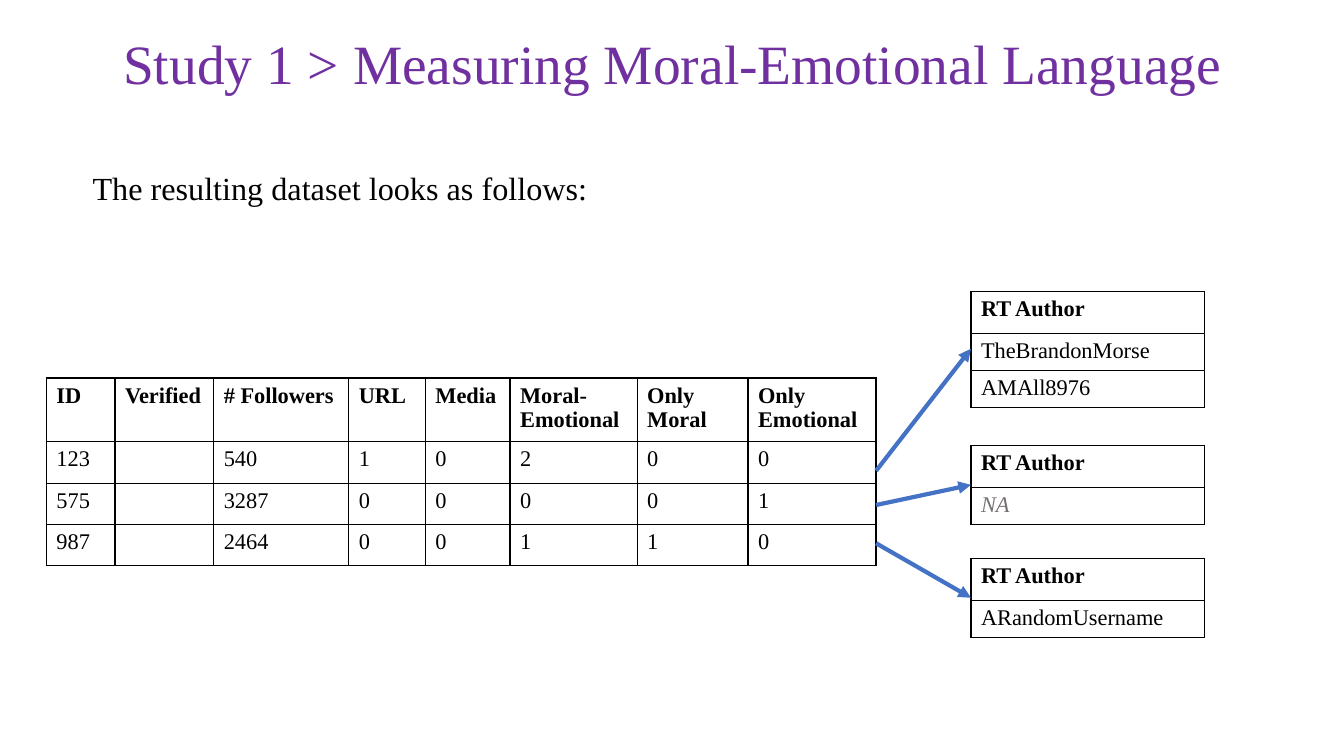
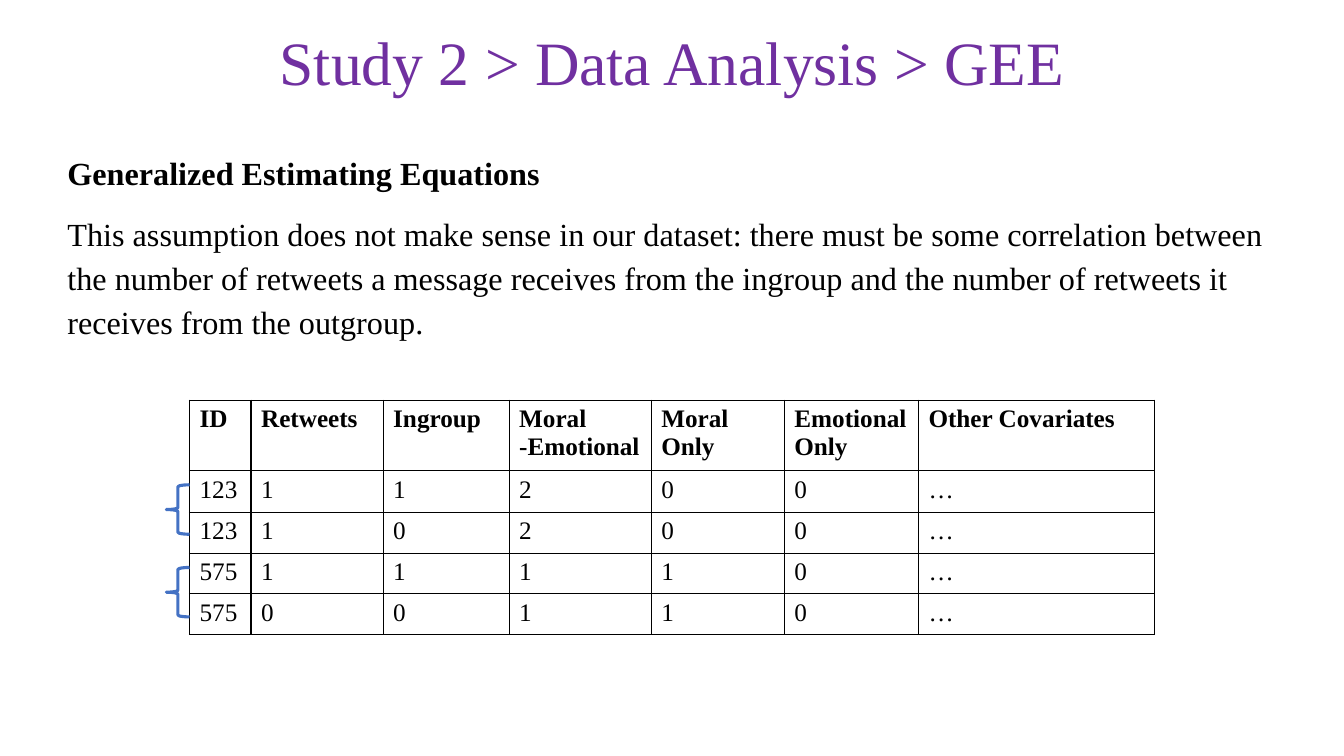
import lxml.etree
import pptx
import pptx.dml.color
import pptx.enum.shapes
import pptx.enum.text
import pptx.oxml
import pptx.oxml.ns
import pptx.util

Inches = pptx.util.Inches
Pt = pptx.util.Pt

FONT = "Times New Roman"
PURPLE = "7030A0"
BLACK = "000000"
GREY = "767171"
BLUE = "4472C4"


def rgb(color):
    return pptx.dml.color.RGBColor.from_string(color)


def add_run(paragraph, text, size, color=BLACK, bold=False, italic=False):
    run = paragraph.add_run()
    run.text = text
    run.font.name = FONT
    run.font.size = Pt(size)
    run.font.color.rgb = rgb(color)
    run.font.bold = bold
    run.font.italic = italic


presentation = pptx.Presentation()
presentation.slide_width = Inches(13.33)
presentation.slide_height = Inches(7.5)

# Titles and body text: title, title size, body box, (text, bold) paragraphs
slide_texts = [
    ("Study 1 > Measuring Moral-Emotional Language", 39.6, (0.82, 1.57, 11.5, 1.09),
     [("The resulting dataset looks as follows:", False)]),
    ("Study 2 > Data Analysis > GEE", 44, (0.57, 1.42, 12.19, 2.2),
     [("Generalized Estimating Equations", True),
      ("This assumption does not make sense in our dataset: there must be some "
       "correlation between the number of retweets a message receives from the "
       "ingroup and the number of retweets it receives from the outgroup.", False)]),
]
slides = []
for title_text, title_size, body_box, body_paragraphs in slide_texts:
    slide = presentation.slides.add_slide(presentation.slide_layouts[5])
    slides.append(slide)

    title = slide.shapes.title
    title.left, title.top = Inches(0.92), Inches(0.02)
    title.width, title.height = Inches(11.5), Inches(1.27)
    title.text_frame.auto_size = pptx.enum.text.MSO_AUTO_SIZE.NONE
    title.text_frame.vertical_anchor = pptx.enum.text.MSO_ANCHOR.MIDDLE
    paragraph = title.text_frame.paragraphs[0]
    paragraph.alignment = pptx.enum.text.PP_ALIGN.CENTER
    paragraph.line_spacing = 0.9
    add_run(paragraph, title_text, title_size, PURPLE)

    body = slide.shapes.add_textbox(*[Inches(length) for length in body_box]).text_frame
    body.word_wrap = True
    for index, (text, bold) in enumerate(body_paragraphs):
        paragraph = body.add_paragraph() if index else body.paragraphs[0]
        paragraph.line_spacing = 1.14
        paragraph.space_after = Pt(12)
        add_run(paragraph, text, 23, bold=bold)

dataset_slide, gee_slide = slides

# Tables: slide, left, top, text size, column widths, row heights, rows
dataset_left, dataset_top = 0.46, 3.75
dataset_widths = [0.68, 0.98, 1.34, 0.76, 0.84, 1.26, 1.1, 1.27]
author_left, author_width = 9.63, 2.32
author_header, author_row = 0.42, 0.36
author_lists = [
    (2.89, ["TheBrandonMorse", "AMAll8976"]),
    (4.42, ["NA"]),
    (5.54, ["ARandomUsername"]),
]
gee_left, gee_top = 1.88, 3.97

tables = [
    (dataset_slide, dataset_left, dataset_top, 16, dataset_widths, [0.59] + [0.41] * 3, [
        ["ID", "Verified", "# Followers", "URL", "Media",
         "Moral-Emotional", "Only Moral", "Only Emotional"],
        ["123", "", "540", "1", "0", "2", "0", "0"],
        ["575", "", "3287", "0", "0", "0", "0", "1"],
        ["987", "", "2464", "0", "0", "1", "1", "0"],
    ]),
    (gee_slide, gee_left, gee_top, 18, [0.61, 1.31, 1.25, 1.41, 1.32, 1.33, 2.34],
     [0.66, 0.41, 0.41, 0.38, 0.38], [
        ["ID", "Retweets", "Ingroup", "Moral -Emotional",
         "Moral Only", "Emotional Only", "Other Covariates"],
        ["123", "1", "1", "2", "0", "0", "…"],
        ["123", "1", "0", "2", "0", "0", "…"],
        ["575", "1", "1", "1", "1", "0", "…"],
        ["575", "0", "0", "1", "1", "0", "…"],
    ]),
]
for top, authors in author_lists:
    tables.append((dataset_slide, author_left, top, 16, [author_width],
                   [author_header] + [author_row] * len(authors),
                   [["RT Author"]] + [[author] for author in authors]))

border_xml = (
    '<a:{side} ' + pptx.oxml.ns.nsdecls("a") + ' w="12700"><a:solidFill>'
    '<a:srgbClr val="' + BLACK + '"/></a:solidFill></a:{side}>'
)
for slide, left, top, size, widths, heights, rows in tables:
    table = slide.shapes.add_table(
        len(rows), len(widths), Inches(left), Inches(top),
        Inches(sum(widths)), Inches(sum(heights))).table
    table.first_row = False
    table.horz_banding = False
    for column, width in zip(table.columns, widths):
        column.width = Inches(width)
    for row_index, (row, height, values) in enumerate(zip(table.rows, heights, rows)):
        row.height = Inches(height)
        for cell, value in zip(row.cells, values):
            properties = cell._tc.get_or_add_tcPr()
            for side in ("lnL", "lnR", "lnT", "lnB"):
                properties.append(pptx.oxml.parse_xml(border_xml.format(side=side)))
            cell.fill.background()
            missing = value == "NA"
            if value:
                add_run(cell.text_frame.paragraphs[0], value, size,
                        GREY if missing else BLACK, row_index == 0, missing)

# Arrows from the dataset rows to the middle of each author list
dataset_right = dataset_left + sum(dataset_widths)
for start_y, (top, authors) in zip([4.67, 5.01, 5.39], author_lists):
    end_y = top + (author_header + author_row * len(authors)) / 2
    arrow = dataset_slide.shapes.add_connector(
        pptx.enum.shapes.MSO_CONNECTOR.STRAIGHT,
        Inches(dataset_right), Inches(start_y), Inches(author_left), Inches(end_y))
    arrow.line.color.rgb = rgb(BLUE)
    arrow.line.width = Pt(3)
    lxml.etree.SubElement(arrow.line._get_or_add_ln(),
                          pptx.oxml.ns.qn("a:tailEnd"), type="triangle")
    lxml.etree.SubElement(arrow._element.spPr, pptx.oxml.ns.qn("a:effectLst"))

# Braces pairing the rows that share an ID
brace_width = 0.23
for pair in range(2):
    brace = gee_slide.shapes.add_shape(
        pptx.enum.shapes.MSO_SHAPE.LEFT_BRACE,
        Inches(gee_left - brace_width), Inches(4.81 + 0.82 * pair),
        Inches(brace_width), Inches(0.49))
    brace.shadow.inherit = False
    brace.fill.background()
    brace.line.color.rgb = rgb(BLUE)
    brace.line.width = Pt(2.25)

presentation.save("out.pptx")
